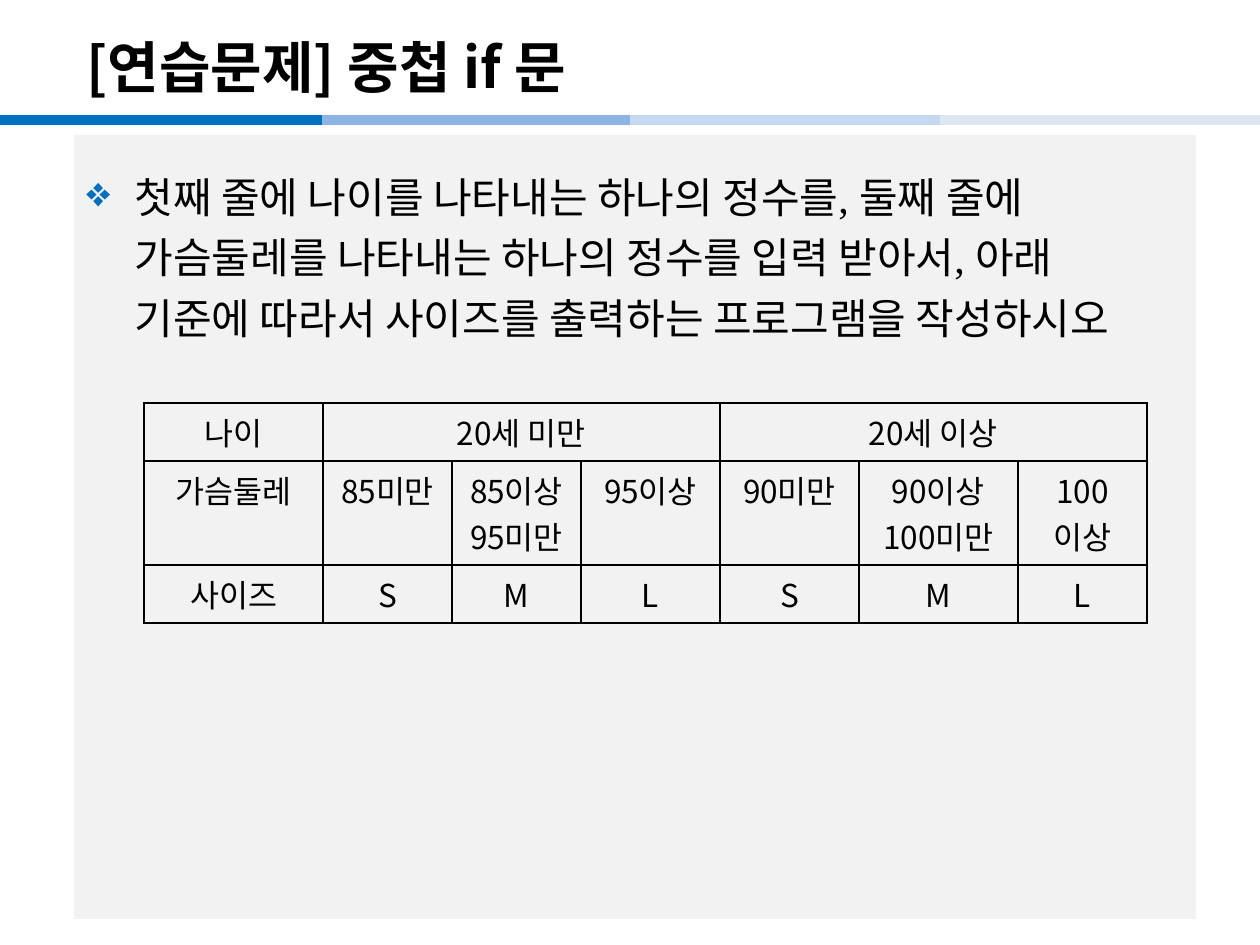
import dataclasses

import lxml.etree
import pptx
import pptx.dml.color
import pptx.enum.shapes
import pptx.enum.text
import pptx.oxml.ns
import pptx.util

PX_PER_INCH = 126
COLORS = {
    "text": "000000",
    "panel": "F2F2F2",
    "blue": "0070C0",
    "mid_blue": "8EB4E3",
    "light_blue": "C6D9F1",
    "pale_blue": "DCE6F2",
}
SANS = "Noto Sans CJK KR"
SERIF = "Times New Roman"
qn = pptx.oxml.ns.qn


@dataclasses.dataclass(frozen=True)
class Box:
    left: int
    top: int
    width: int
    height: int

    def emu(self) -> tuple:
        return tuple(px(n) for n in (self.left, self.top, self.width, self.height))


@dataclasses.dataclass(frozen=True)
class Stripe:
    left: int
    color: str


@dataclasses.dataclass(frozen=True)
class Style:
    size: int
    font: str = SANS
    bold: bool = False


def px(length: int) -> int:
    return pptx.util.Emu(round(length * 914400 / PX_PER_INCH))


def rgb(name: str) -> pptx.dml.color.RGBColor:
    return pptx.dml.color.RGBColor.from_string(COLORS[name])


def add_run(paragraph, text: str, style: Style) -> None:
    run = paragraph.add_run()
    run.text = text
    run.font.size = pptx.util.Pt(style.size)
    run.font.bold = style.bold
    run.font.name = style.font
    run.font.color.rgb = rgb("text")
    east_asian = lxml.etree.SubElement(run.font._element, qn("a:ea"))
    east_asian.set("typeface", SANS)


def add_panel(slide, box: Box) -> None:
    shape = slide.shapes.add_shape(
        pptx.enum.shapes.MSO_SHAPE.RECTANGLE, *box.emu())
    shape.shadow.inherit = False
    shape.fill.solid()
    shape.fill.fore_color.rgb = rgb("panel")
    shape.line.fill.background()


def add_stripe(slide, stripe: Stripe, width: int, y: int) -> None:
    connector = slide.shapes.add_connector(
        pptx.enum.shapes.MSO_CONNECTOR.STRAIGHT,
        px(stripe.left), px(y), px(stripe.left + width), px(y))
    connector.line.color.rgb = rgb(stripe.color)
    connector.line.width = pptx.util.Pt(6)
    lxml.etree.SubElement(connector._element.spPr, qn("a:effectLst"))


def add_text(slide, box: Box, text: str, style: Style, anchor):
    frame = slide.shapes.add_textbox(*box.emu()).text_frame
    frame.word_wrap = True
    frame.vertical_anchor = anchor
    paragraph = frame.paragraphs[0]
    add_run(paragraph, text, style)
    return paragraph


def add_bullet(paragraph, symbol: str, color: str, indent: int) -> None:
    properties = paragraph._p.get_or_add_pPr()
    properties.set("marL", str(px(indent)))
    properties.set("indent", str(-px(indent)))
    bullet_color = lxml.etree.SubElement(properties, qn("a:buClr"))
    lxml.etree.SubElement(bullet_color, qn("a:srgbClr")).set("val", COLORS[color])
    lxml.etree.SubElement(properties, qn("a:buChar")).set("char", symbol)


def add_borders(cell) -> None:
    properties = cell._tc.get_or_add_tcPr()
    for index, side in enumerate(("lnL", "lnR", "lnT", "lnB")):
        line = lxml.etree.Element(qn(f"a:{side}"))
        line.set("w", str(pptx.util.Pt(1)))
        fill = lxml.etree.SubElement(line, qn("a:solidFill"))
        lxml.etree.SubElement(fill, qn("a:srgbClr")).set("val", COLORS["text"])
        properties.insert(index, line)


def add_size_table(slide, left: int, top: int, columns: list, heights: list,
                   rows: list, spans: list) -> None:
    box = Box(left, top, sum(columns), sum(heights))
    table = slide.shapes.add_table(len(rows), len(columns), *box.emu()).table
    table.first_row = table.horz_banding = False
    for column, width in zip(table.columns, columns):
        column.width = px(width)
    for row, height in zip(table.rows, heights):
        row.height = px(height)
    for first, last in spans:
        table.cell(0, first).merge(table.cell(0, last))
    for row, texts in zip(table.rows, rows):
        for cell, text in zip(row.cells, texts):
            cell.fill.background()
            add_borders(cell)
            if text:
                paragraph = cell.text_frame.paragraphs[0]
                paragraph.alignment = pptx.enum.text.PP_ALIGN.CENTER
                add_run(paragraph, text, Style(18))


def main() -> None:
    presentation = pptx.Presentation()
    presentation.slide_width, presentation.slide_height = px(1260), px(945)
    slide = presentation.slides.add_slide(presentation.slide_layouts[6])

    # Background panel and the striped rule under the title
    add_panel(slide, Box(74, 135, 1122, 784))
    for stripe in (Stripe(0, "blue"), Stripe(322, "mid_blue"),
                   Stripe(630, "light_blue"), Stripe(940, "pale_blue")):
        add_stripe(slide, stripe, 322, 120)

    # Title and exercise statement
    add_text(slide, Box(74, 28, 1042, 76), "[연습문제] 중첩 if 문",
             Style(32, bold=True), pptx.enum.text.MSO_ANCHOR.MIDDLE)
    statement = add_text(
        slide, Box(74, 155, 1101, 735),
        "첫째 줄에 나이를 나타내는 하나의 정수를, 둘째 줄에 가슴둘레를 나타내는 "
        "하나의 정수를 입력 받아서, 아래 기준에 따라서 사이즈를 출력하는 "
        "프로그램을 작성하시오",
        Style(24, SERIF), pptx.enum.text.MSO_ANCHOR.TOP)
    statement.line_spacing = 1.2
    add_bullet(statement, "❖", "blue", 48)

    # Size chart by age and chest measurement
    add_size_table(
        slide, 144, 403,
        columns=[179, 129, 129, 139, 139, 159, 129],
        heights=[58, 104, 58],
        rows=[
            ["나이", "20세 미만", "", "", "20세 이상", "", ""],
            ["가슴둘레", "85미만", "85이상 95미만", "95이상",
             "90미만", "90이상 100미만", "100이상"],
            ["사이즈"] + ["S", "M", "L"] * 2,
        ],
        spans=[(1, 3), (4, 6)])

    presentation.save("out.pptx")


if __name__ == "__main__":
    main()
